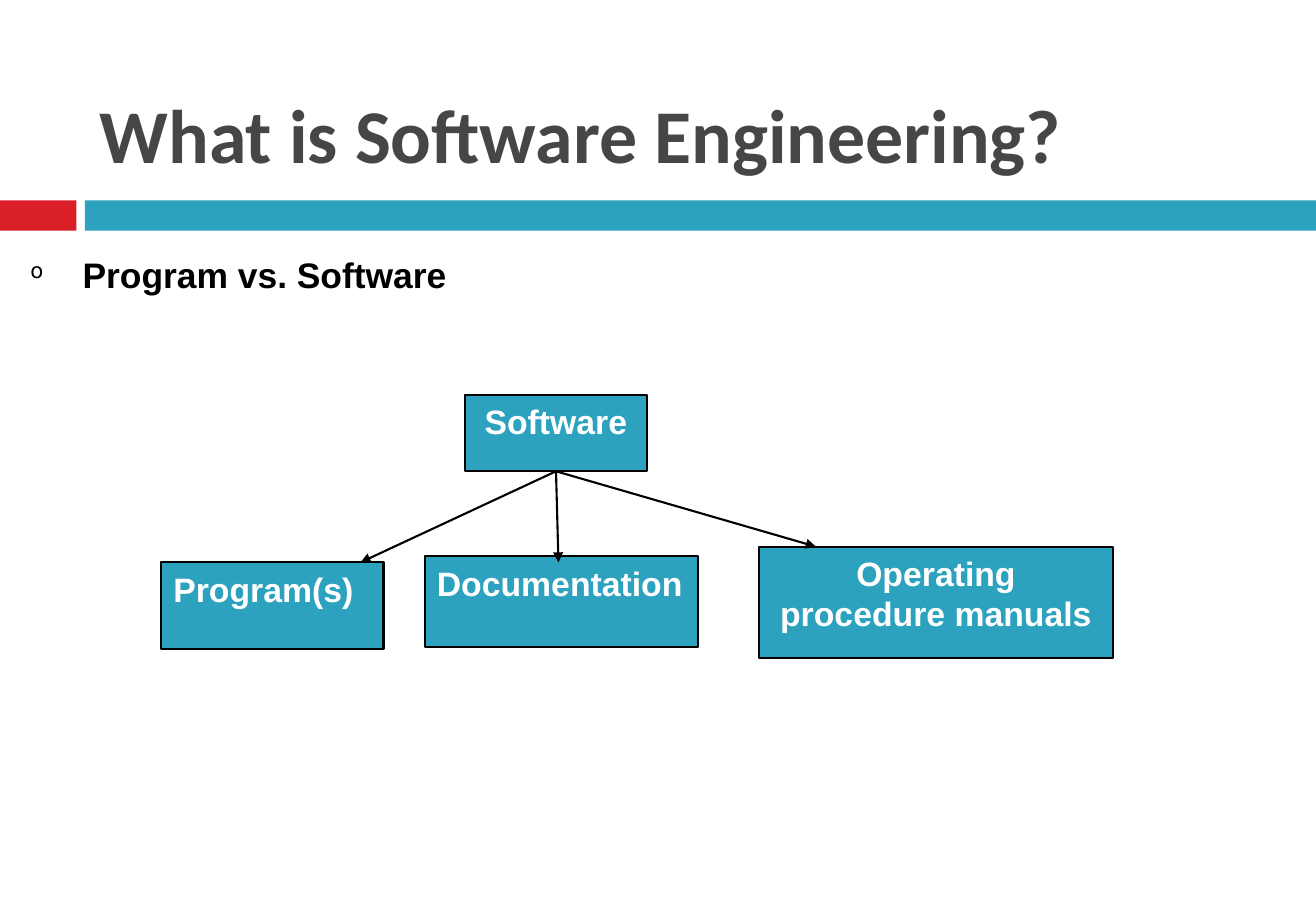
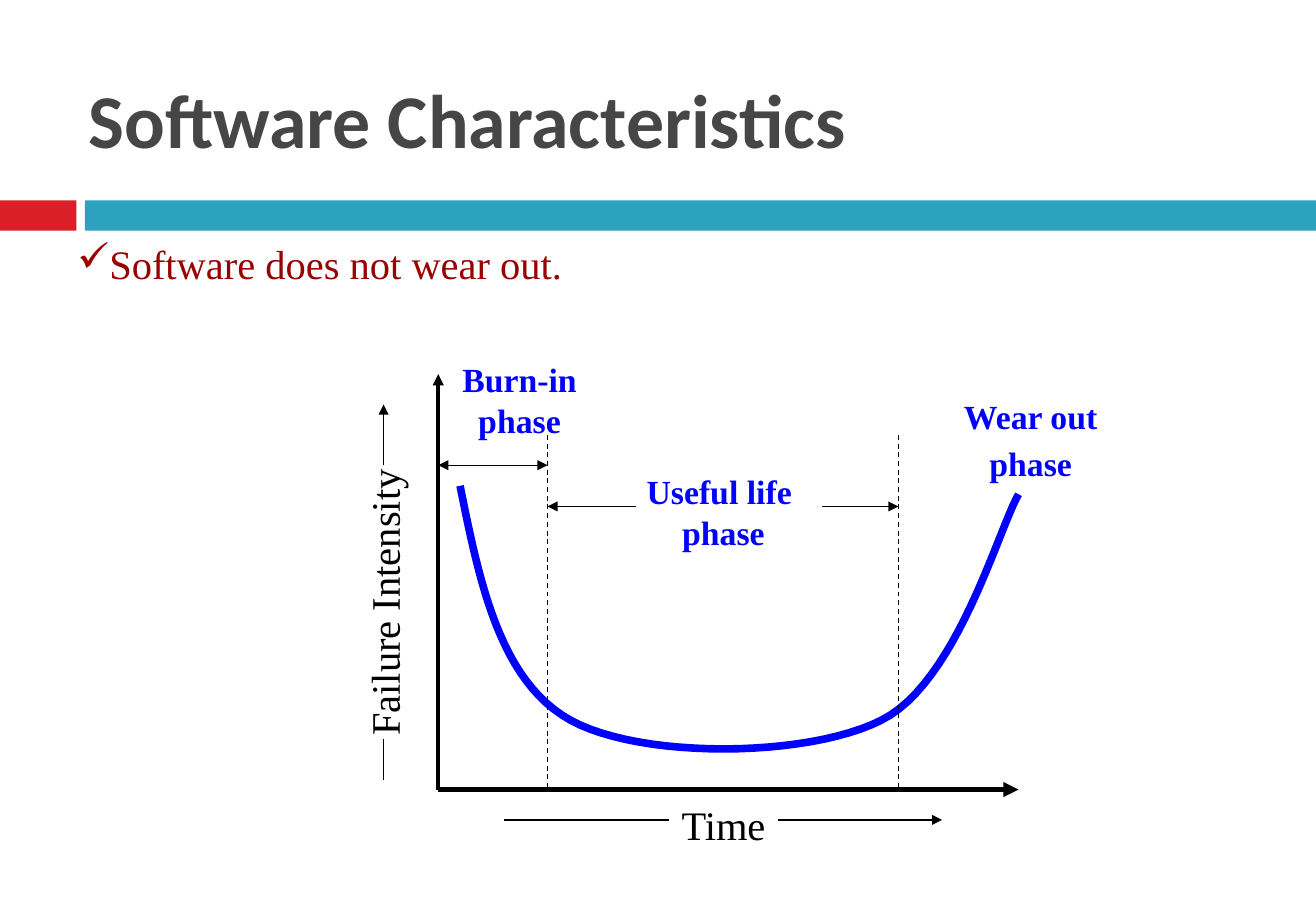
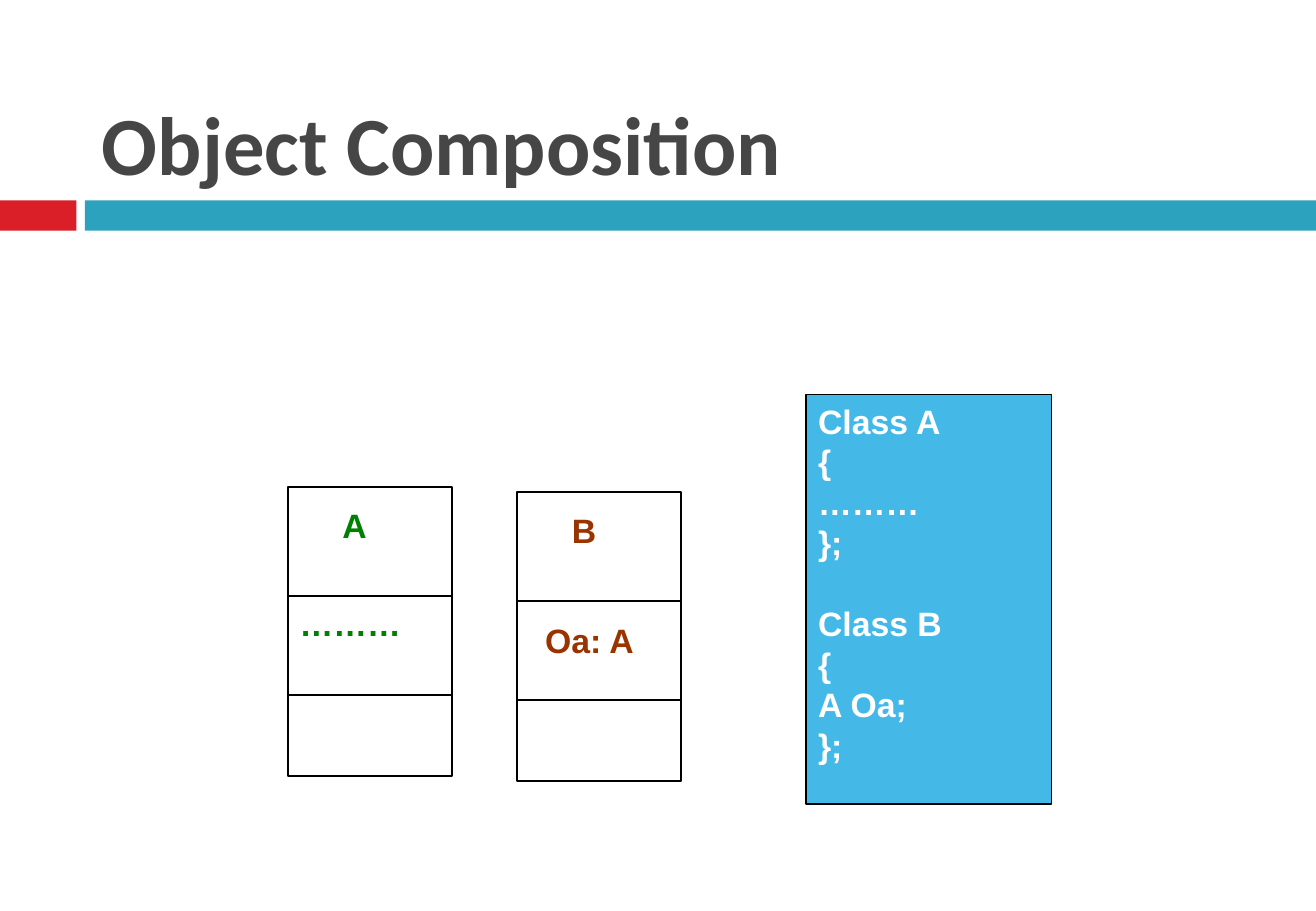
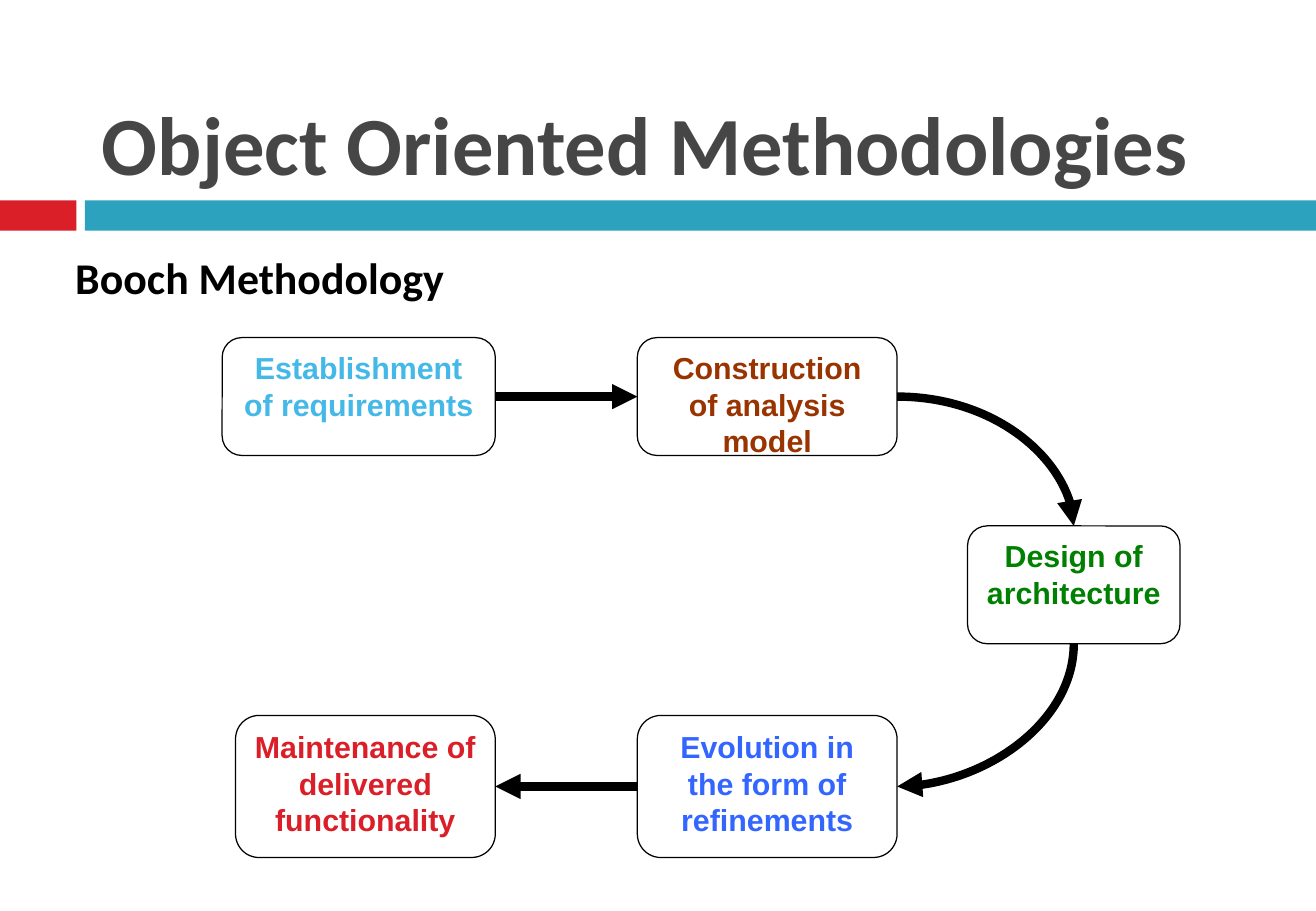
"""Builds four slides on software engineering and object-oriented design."""
from lxml import etree
from pptx import Presentation
from pptx.dml.color import RGBColor
from pptx.enum.dml import MSO_LINE
from pptx.enum.shapes import MSO_CONNECTOR as Link, MSO_SHAPE as Preset
from pptx.enum.text import MSO_ANCHOR as Anchor, MSO_AUTO_SIZE as AutoSize, PP_ALIGN as Align
from pptx.oxml.ns import qn
from pptx.util import Inches, Pt

COLORS = {
    "red": "DA1F28", "teal": "2DA2BF", "sky": "44B9E8", "title": "464646",
    "black": "000000", "white": "FFFFFF", "blue": "0000FF", "royal": "3366FF",
    "green": "008000", "brown": "993300", "maroon": "990000",
}
TOP, LEFT, BOTTOM, RIGHT = range(4)
SERIF = "Times New Roman"


def color(name):
    return RGBColor.from_string(COLORS[name])


def cubic(points, steps=24):
    for step in range(1, steps + 1):
        t = step / steps
        weights = ((1 - t) ** 3, 3 * t * (1 - t) ** 2, 3 * t * t * (1 - t), t ** 3)
        yield tuple(Inches(sum(w * p[axis] for w, p in zip(weights, points))) for axis in (0, 1))


class Deck:
    def __init__(self):
        self.deck = Presentation()
        self.deck.slide_width, self.deck.slide_height = Inches(10.84), Inches(7.5)
        self.layout = self.deck.slide_layouts[5]
        self.page = None

    def add_page(self, title, left, top, width, height, size, anchor, margins):
        first = self.page is None
        self.page = self.deck.slides.add_slide(self.layout)
        if first:
            self.add_bands()
        box = self.page.shapes.title
        box.left, box.top, box.width, box.height = map(Inches, (left, top, width, height))
        self.fill_text(box, [title], size, "title", "Calibri", True, Align.LEFT, anchor, margins)

    def add_bands(self):
        for left, width, fill in ((0, 0.63, "red"), (0.7, 10.14, "teal")):
            band = self.box((left, 1.65, width, 0.25), fill, None)
            self.layout.shapes.element.insert(2, band.element)

    def fill_text(self, box, lines, size, ink, font="Arial", bold=True, align=Align.LEFT,
                  anchor=Anchor.TOP, margins=(0.1, 0.05), gaps=None, bullet=None):
        frame = box.text_frame
        frame.word_wrap = True
        frame.auto_size = AutoSize.NONE
        frame.vertical_anchor = anchor
        frame.margin_left, frame.margin_top = map(Inches, margins)
        frame.margin_right, frame.margin_bottom = map(Inches, margins)
        for index, line in enumerate(lines):
            para = frame.paragraphs[0] if index == 0 else frame.add_paragraph()
            para.alignment = align
            para.space_before = Pt((gaps or {}).get(index, 0))
            if bullet:
                self.add_bullet(para, **bullet)
            span = para.add_run()
            span.text = line
            span.font.size, span.font.name, span.font.bold = Pt(size), font, bold
            span.font.color.rgb = color(ink)

    def add_bullet(self, para, char, ink, scale=100, indent=0):
        props = para._p.get_or_add_pPr()
        props.set("marL", str(Inches(indent)))
        props.set("indent", str(-Inches(indent)))
        tint = etree.SubElement(props, qn("a:buClr"))
        etree.SubElement(tint, qn("a:srgbClr"), val=COLORS[ink])
        etree.SubElement(props, qn("a:buSzPct"), val=str(scale * 1000))
        etree.SubElement(props, qn("a:buChar"), char=char)

    def text(self, place, lines, size, ink, rotation=0, **style):
        box = self.page.shapes.add_textbox(*map(Inches, place))
        box.rotation = rotation
        self.fill_text(box, lines, size, ink, **style)

    def label(self, center, lines, size, ink, rotation=0, bold=True, gaps=None):
        width, height = 2.5, 0.8
        place = (center[0] - width / 2, center[1] - height / 2, width, height)
        self.text(place, lines, size, ink, rotation, font=SERIF, bold=bold,
                  align=Align.CENTER, anchor=Anchor.MIDDLE, gaps=gaps)

    def box(self, place, fill, weight=1.25, preset=Preset.RECTANGLE):
        shape = self.page.shapes.add_shape(preset, *map(Inches, place))
        shape.shadow.inherit = False
        shape.fill.solid()
        shape.fill.fore_color.rgb = color(fill)
        if weight:
            shape.line.color.rgb = color("black")
            shape.line.width = Pt(weight)
        else:
            shape.line.fill.background()
        return shape

    def curve(self, start, segments):
        builder = self.page.shapes.build_freeform(*map(Inches, start))
        for controls in segments:
            builder.add_line_segments(list(cubic((start, *controls))), close=False)
            start = controls[-1]
        shape = builder.convert_to_shape()
        shape.shadow.inherit = False
        shape.fill.background()
        shape.line.color.rgb = color("blue")
        shape.line.width = Pt(4.5)

    def line(self, start, end, weight, arrows=(), dashed=False, kind=Link.STRAIGHT):
        joined = [not isinstance(point[0], (int, float)) for point in (start, end)]
        spots = [(0, 0) if join else point for join, point in zip(joined, (start, end))]
        link = self.page.shapes.add_connector(kind, *map(Inches, spots[0] + spots[1]))
        if joined[0]:
            link.begin_connect(*start)
        if joined[1]:
            link.end_connect(*end)
        link.line.color.rgb = color("black")
        link.line.width = Pt(weight)
        if dashed:
            link.line.dash_style = MSO_LINE.DASH
        props = link.element.spPr
        stroke = props.find(qn("a:ln"))
        for arrow in arrows:
            etree.SubElement(stroke, qn(f"a:{arrow}End"), type="triangle")
        etree.SubElement(props, qn("a:effectLst"))
        if kind == Link.CURVE:
            props.find(qn("a:prstGeom")).set("prst", "curvedConnector2")

    def class_box(self, left, top, rows):
        for height, line, ink, margins in rows:
            shape = self.box((left, top, 1.35, height), "white")
            if line:
                self.fill_text(shape, [line], 20, ink, margins=margins)
            top += height


def software_page(deck):
    deck.add_page("What is Software Engineering?", 0.72, 0.67, 10.11, 0.85, 45,
                  Anchor.TOP, (0.1, 0.05))
    deck.text((0.25, 2.08, 6.42, 0.35), ["Program vs. Software"], 21, "black", margins=(0, 0),
              bullet={"char": "o", "ink": "black", "scale": 60, "indent": 0.43})
    boxes = (
        ("Software", (3.83, 3.25, 1.5, 0.63), Align.CENTER),
        ("Documentation", (3.5, 4.58, 2.25, 0.75), Align.LEFT),
        ("Operating procedure manuals", (6.25, 4.5, 2.92, 0.92), Align.CENTER),
        ("Program(s)", (1.33, 4.63, 1.83, 0.71), Align.LEFT),
    )
    shapes = []
    for name, place, align in boxes:
        shapes.append(deck.box(place, "teal"))
        deck.fill_text(shapes[-1], [name], 20, "white", align=align)
    for end in ((2.97, 4.63), (6.72, 4.5), (4.6, 4.63)):
        deck.line((shapes[0], BOTTOM), end, 1.25, ["tail"])


def wear_page(deck):
    deck.add_page("Software Characteristics", 0.63, 0.55, 9.66, 0.85, 45,
                  Anchor.TOP, (0.1, 0.05))
    deck.text((0.54, 1.92, 9.66, 0.5), ["Software does not wear out."], 24, "maroon",
              font=SERIF, bold=False, bullet={"char": "✓", "ink": "maroon"})
    origin, burn_in, wear_out = 3.61, 4.51, 7.4
    floor = 6.5
    deck.line((origin, 3.08), (origin, floor), 2.25, ["head"])
    deck.line((origin, floor), (8.39, floor), 3, ["tail"])
    deck.curve((3.79, 4), (
        ((3.95, 4.8), (4.12, 5.61), (4.7, 5.93)),
        ((5.28, 6.25), (6.65, 6.24), (7.26, 5.93)),
        ((7.88, 5.62), (8.22, 4.37), (8.39, 4.07)),
    ))
    for x in (burn_in, wear_out):
        deck.line((x, 3.58), (x, floor), 0.75, dashed=True)
    for start, end, arrows in (
        ((origin, 3.83), (burn_in, 3.83), ["head", "tail"]),
        ((burn_in, 4.17), (5.24, 4.17), ["head"]),
        ((6.77, 4.17), (wear_out, 4.17), ["tail"]),
        ((4.15, 6.75), (5.51, 6.75), []),
        ((6.41, 6.75), (7.76, 6.75), ["tail"]),
        ((3.16, 3.83), (3.16, 3.33), ["tail"]),
        ((3.16, 6.08), (3.16, 6.42), []),
    ):
        deck.line(start, end, 0.75, arrows)
    deck.label((4.28, 3.29), ["Burn-in", "phase"], 20, "blue")
    deck.label((5.96, 4.21), ["Useful life ", "phase"], 20, "blue")
    deck.label((8.49, 3.62), ["Wear out", "phase"], 20, "blue", gaps={1: 4})
    deck.label((3.16, 4.96), ["Failure Intensity"], 24, "black", 270, False)
    deck.label((5.96, 6.79), ["Time"], 24, "black", bold=False)


def composition_page(deck):
    deck.add_page("Object Composition", 0.72, 0.17, 9.66, 1.47, 49,
                  Anchor.BOTTOM, (0.12, 0.06))
    name_margins = (0.45, 0.15)
    deck.class_box(2.37, 4.01, (
        (0.9, "A", "green", name_margins),
        (0.81, "………", "green", (0.1, 0.05)),
        (0.67, None, None, None),
    ))
    deck.class_box(4.26, 4.05, (
        (0.9, "B", "brown", name_margins),
        (0.81, "Oa: A", "brown", (0.23, 0.15)),
        (0.67, None, None, None),
    ))
    code = ["Class A", "{", "………", "};", "Class B", "{", "A Oa;", "};"]
    listing = deck.box((6.64, 3.25, 2.02, 3.37), "sky", 0.75)
    deck.fill_text(listing, code, 20, "white", gaps={4: 24})


def methodology_page(deck):
    deck.add_page("Object Oriented Methodologies", 0.72, 0.17, 9.66, 1.47, 49,
                  Anchor.BOTTOM, (0.12, 0.06))
    deck.text((0.5, 2, 9.8, 0.67), ["Booch Methodology"], 26, "black", font="Calibri",
              margins=(0.12, 0.06))
    steps = (
        ("Establishment of requirements", "sky", (1.83, 2.78, 2.25, 0.97)),
        ("Construction of analysis model", "brown", (5.25, 2.78, 2.14, 0.97)),
        ("Design of architecture", "green", (7.97, 4.33, 1.75, 0.97)),
        ("Evolution in the form of refinements", "royal", (5.25, 5.89, 2.14, 1.17)),
        ("Maintenance of delivered functionality", "red", (1.94, 5.89, 2.14, 1.17)),
    )
    shapes = []
    for name, ink, place in steps:
        shapes.append(deck.box(place, "white", 0.75, Preset.ROUNDED_RECTANGLE))
        deck.fill_text(shapes[-1], [name], 18, ink, align=Align.CENTER)
    establish, construct, design, evolve, maintain = shapes
    deck.line((establish, RIGHT), (construct, LEFT), 5, ["tail"])
    deck.line((construct, RIGHT), (design, TOP), 5, ["tail"], kind=Link.CURVE)
    deck.line((evolve, RIGHT), (design, BOTTOM), 5, ["head"], kind=Link.CURVE)
    deck.line((evolve, LEFT), (maintain, RIGHT), 5, ["tail"])


def main():
    deck = Deck()
    for build in (software_page, wear_page, composition_page, methodology_page):
        build(deck)
    deck.deck.save("out.pptx")


if __name__ == "__main__":
    main()
